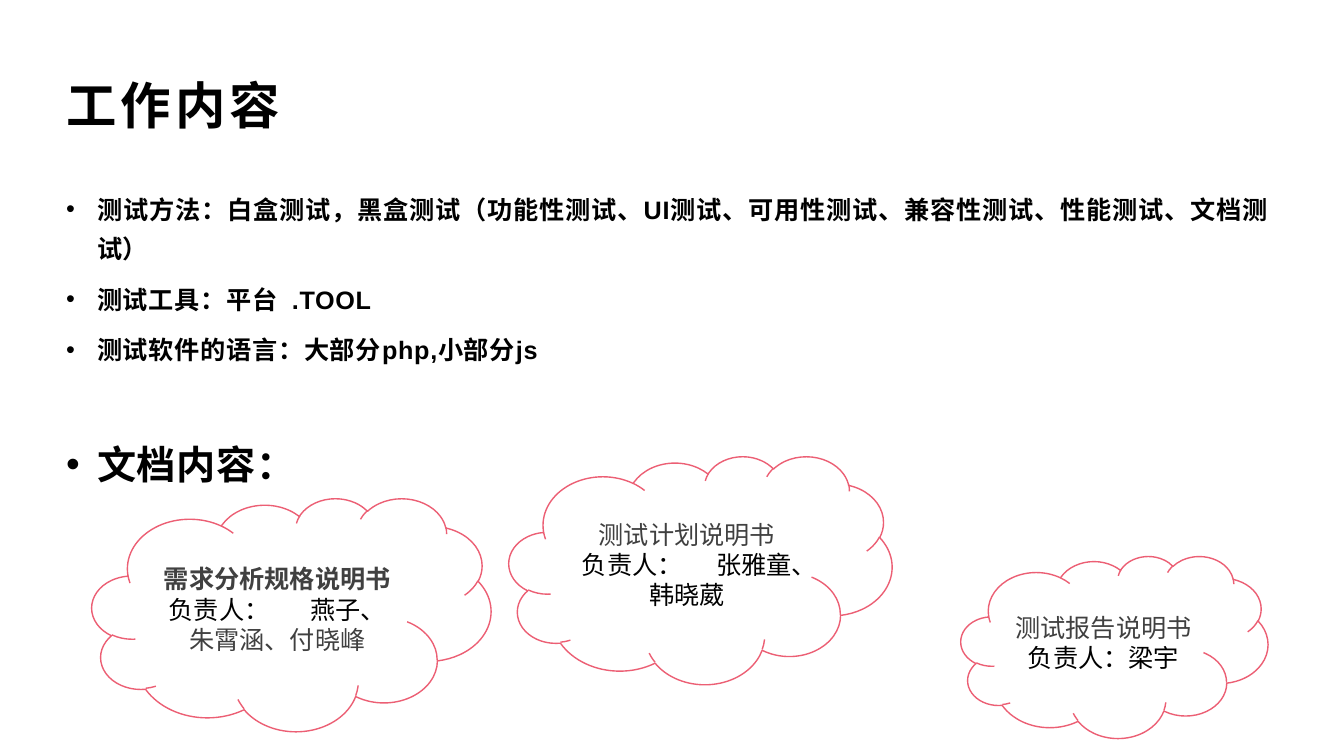
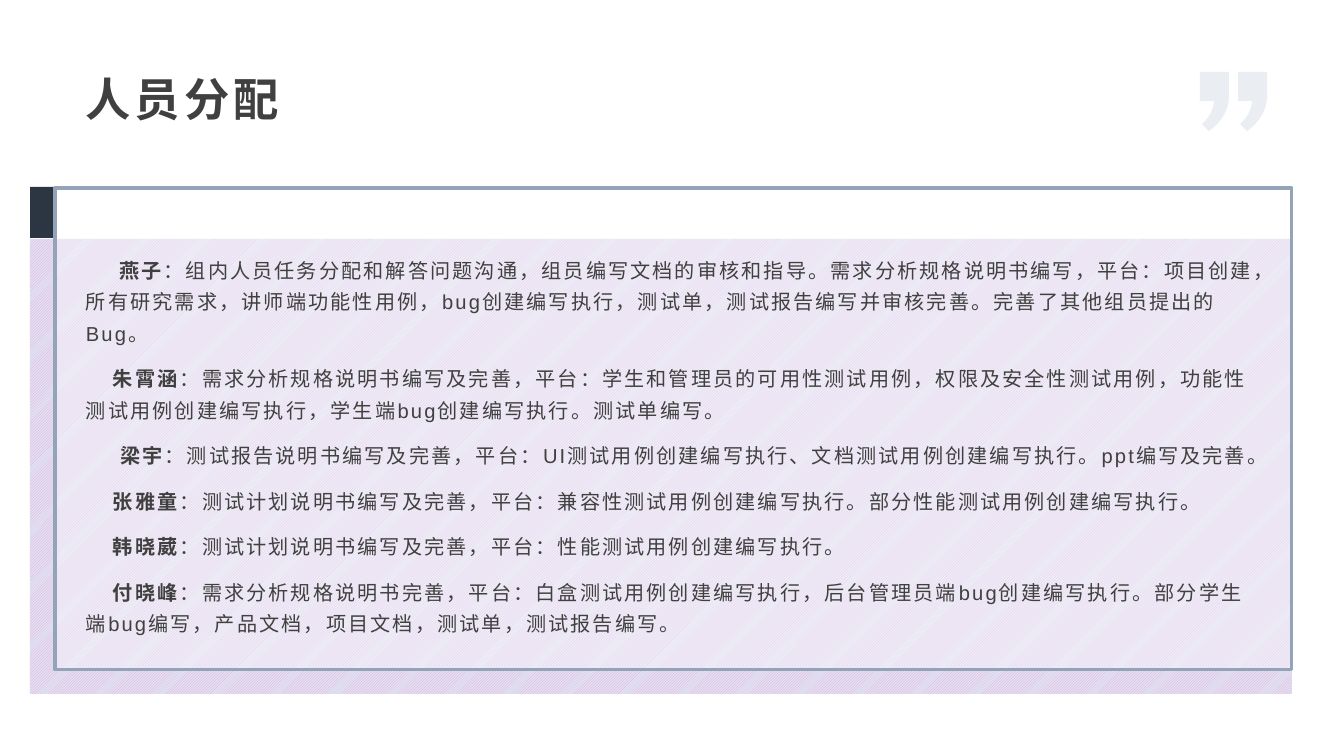
from pptx import Presentation
from pptx.dml.color import RGBColor
from pptx.enum.dml import MSO_PATTERN as Pattern
from pptx.enum.shapes import MSO_SHAPE as Preset
from pptx.enum.text import MSO_ANCHOR as Anchor, MSO_AUTO_SIZE as AutoSize, PP_ALIGN as Align
from pptx.oxml.ns import qn
from pptx.util import Emu, Pt
from lxml.etree import SubElement

EMU_PER_PIXEL = 914400 / 100.8
FONT = "Arial"
BLACK, GREY, WHITE = "000000", "404040", "FFFFFF"
ROSE, NAVY, STEEL, MIST = "EC5F74", "2C3643", "93A3B8", "D6DCE4"
PINK, LILAC = "EF9CDC", "DFE3F1"

METHODS = [
    ["测试方法：白盒测试，黑盒测试（功能性测试、UI测试、可用性测试、兼容性测试、性能测试、文档测试）"],
    ["测试工具：平台", 5.5, ".TOOL"],
    ["测试软件的语言：大部分php,小部分js"],
]
DUTIES = [
    ("燕子", 33, "组内人员任务分配和解答问题沟通，组员编写文档的审核和指导。需求分析规格说明书编写，"
     "平台：项目创建，所有研究需求，讲师端功能性用例，bug创建编写执行，测试单，"
     "测试报告编写并审核完善。完善了其他组员提出的Bug。"),
    ("朱霄涵", 27, "需求分析规格说明书编写及完善，平台：学生和管理员的可用性测试用例，"
     "权限及安全性测试用例，功能性测试用例创建编写执行，学生端bug创建编写执行。测试单编写。"),
    ("梁宇", 34, "测试报告说明书编写及完善，平台：UI测试用例创建编写执行、"
     "文档测试用例创建编写执行。ppt编写及完善。"),
    ("张雅童", 27, "测试计划说明书编写及完善，平台：兼容性测试用例创建编写执行。"
     "部分性能测试用例创建编写执行。"),
    ("韩晓葳", 27, "测试计划说明书编写及完善，平台：性能测试用例创建编写执行。"),
    ("付晓峰", 27, "需求分析规格说明书完善，平台：白盒测试用例创建编写执行，"
     "后台管理员端bug创建编写执行。部分学生端bug编写，产品文档，项目文档，测试单，测试报告编写。"),
]


def px(length):
    """Turn pixels into EMU."""
    return Emu(round(length * EMU_PER_PIXEL))


def rgb(colour):
    """Turn a hex string into a colour."""
    return RGBColor.from_string(colour)


def place(shape, frame):
    """Move and size a shape by its pixel frame."""
    shape.left, shape.top, shape.width, shape.height = map(px, frame)


def prepare(box, insets, anchor=Anchor.TOP):
    """Set wrapping, anchor and pixel insets of a text frame."""
    text = box.text_frame
    text.word_wrap, text.auto_size, text.vertical_anchor = True, AutoSize.NONE, anchor
    text.margin_left, text.margin_top, text.margin_right, text.margin_bottom = map(px, insets)


def add_para(box, first=False, align=Align.LEFT, line=1.0, before=0, after=0,
             margin=0, indent=0, bullet=None):
    """Add a paragraph with explicit spacing, indents and bullet."""
    text = box.text_frame
    para = text.paragraphs[0] if first else text.add_paragraph()
    para.alignment, para.line_spacing = align, line
    para.space_before, para.space_after = Pt(before), Pt(after)
    props = para._p.get_or_add_pPr()
    props.set("marL", str(px(margin)))
    props.set("indent", str(px(indent)))
    if bullet:
        SubElement(props, qn("a:buFont")).set("typeface", FONT)
        SubElement(props, qn("a:buChar")).set("char", bullet)
    else:
        SubElement(props, qn("a:buNone"))
    return para


def add_span(para, words, size, colour, bold=False, tracking=0):
    """Add one run with its character format."""
    span = para.add_run()
    span.text = words
    span.font.name, span.font.size, span.font.bold = FONT, Pt(size), bold
    span.font.color.rgb = rgb(colour)
    props = span._r.get_or_add_rPr()
    props.set("lang", "zh-CN")
    props.set("spc", str(round(tracking * 100)))


def set_title(page, words, frame, size, colour, insets, anchor=Anchor.TOP, line=1.0):
    """Fill the title placeholder in the shared bold, tracked style."""
    box = page.shapes.title
    place(box, frame)
    prepare(box, insets, anchor)
    add_span(add_para(box, True, line=line), words, size, colour, True, 3)


def fill_solid(shape, colour, opacity=100):
    """Fill a shape with one colour, see-through if asked."""
    shape.fill.solid()
    shape.fill.fore_color.rgb = rgb(colour)
    if opacity < 100:
        tint = shape.element.spPr.find(qn("a:solidFill"))[0]
        SubElement(tint, qn("a:alpha")).set("val", str(opacity * 1000))


def add_preset(page, preset, frame, line=None, weight=1):
    """Add a preset shape without shadow, outlined only if a colour is given."""
    shape = page.shapes.add_shape(preset, *map(px, frame))
    shape.shadow.inherit = False
    if line:
        shape.line.color.rgb, shape.line.width = rgb(line), Pt(weight)
    else:
        shape.line.fill.background()
    return shape


def add_cloud(page, frame, document, owners, bold=False):
    """Add a cloud naming a document and its owners; a number is a gap in points."""
    cloud = add_preset(page, Preset.CLOUD, frame, ROSE)
    fill_solid(cloud, WHITE)
    prepare(cloud, (10, 5, 10, 5), Anchor.MIDDLE)
    add_span(add_para(cloud, True, Align.CENTER), document, 18, GREY, bold)
    para = add_para(cloud, align=Align.CENTER)
    for part, colour in owners:
        if isinstance(part, str):
            add_span(para, part, 18, colour)
        else:
            add_span(para, " ", 18, colour, tracking=part)


def curve(start, first, second, end, steps=12):
    """List points along a cubic curve, without its start."""
    points = []
    for step in range(1, steps + 1):
        t = step / steps
        weights = ((1 - t) ** 3, 3 * t * (1 - t) ** 2, 3 * t * t * (1 - t), t ** 3)
        points.append(tuple(sum(w * p[axis] for w, p in zip(weights, (start, first, second, end)))
                            for axis in (0, 1)))
    return points


def add_quote_mark(page, left, top):
    """Draw one pale closing quote mark."""
    outline = [(29, 0), (29, 26), *curve((29, 26), (28, 47), (9, 59), (9, 59)),
               (2, 52), *curve((2, 52), (2, 52), (13, 44), (14, 29)), (0, 29)]
    builder = page.shapes.build_freeform(px(left), px(top), 1.0)
    builder.add_line_segments([(px(left + x), px(top + y)) for x, y in outline], close=True)
    mark = builder.convert_to_shape()
    mark.shadow.inherit = False
    mark.line.fill.background()
    fill_solid(mark, MIST, 50)


def build_work(page):
    """Build the page on test methods and documents."""
    set_title(page, "工作内容", (58, 44, 1210, 137), 36, BLACK, (8, 4, 8, 12), Anchor.MIDDLE, 0.9)
    body = page.placeholders[1]
    place(body, (58, 181, 1219, 178))
    prepare(body, (8, 4, 8, 4))
    style = dict(align=Align.JUSTIFY, line=1.3, after=8, margin=31, indent=-31, bullet="•")
    for index, parts in enumerate(METHODS):
        para = add_para(body, index == 0, **style)
        for part in parts:
            if isinstance(part, str):
                add_span(para, part, 18, BLACK, True, 0.5)
            else:
                add_span(para, " ", 18, BLACK, True, part)
    add_span(add_para(body, before=36, **style), "文档内容：", 28, BLACK, True, 0.5)

    add_cloud(page, (92, 498, 399, 233), "需求分析规格说明书",
              [("负责人：", BLACK), (25, BLACK), ("燕子、", BLACK), ("朱霄涵、付晓峰", GREY)], True)
    add_cloud(page, (509, 456, 383, 228), "测试计划说明书",
              [("负责人：", BLACK), (20, BLACK), ("张雅童、韩晓葳", BLACK)])
    add_cloud(page, (961, 556, 307, 182), "测试报告说明书", [("负责人：梁宇", BLACK)])


def build_people(page):
    """Build the page on who does what."""
    set_title(page, "人员分配", (74, 67, 782, 70), 32.4, GREY, (11, 4, 7, 4))
    fill_solid(add_preset(page, Preset.RECTANGLE, (30, 187, 24, 51)), NAVY)
    panel = add_preset(page, Preset.RECTANGLE, (30, 239, 1262, 455))
    panel.fill.patterned()
    panel.fill.pattern = Pattern.LIGHT_UPWARD_DIAGONAL
    panel.fill.fore_color.rgb, panel.fill.back_color.rgb = rgb(PINK), rgb(LILAC)
    fill_solid(add_preset(page, Preset.RECTANGLE, (55, 188, 1237, 482), STEEL, 2.25), WHITE, 40)

    body = page.placeholders[1]
    place(body, (75, 251, 1197, 419))
    prepare(body, (11, 0, 9, 0))
    for index, (person, indent, duty) in enumerate(DUTIES):
        para = add_para(body, index == 0, line=1.3, before=10, indent=indent)
        add_span(para, person, 14.4, GREY, True, 1.5)
        add_span(para, "：" + duty, 14.4, GREY, False, 1.5)
    page.shapes.element.append(body.element)
    for left in (1200, 1238):
        add_quote_mark(page, left, 72)


def main():
    """Build and save the deck."""
    deck = Presentation()
    deck.slide_width, deck.slide_height = px(1344), px(756)
    for build in (build_work, build_people):
        build(deck.slides.add_slide(deck.slide_layouts[1]))
    deck.save("out.pptx")


main()
